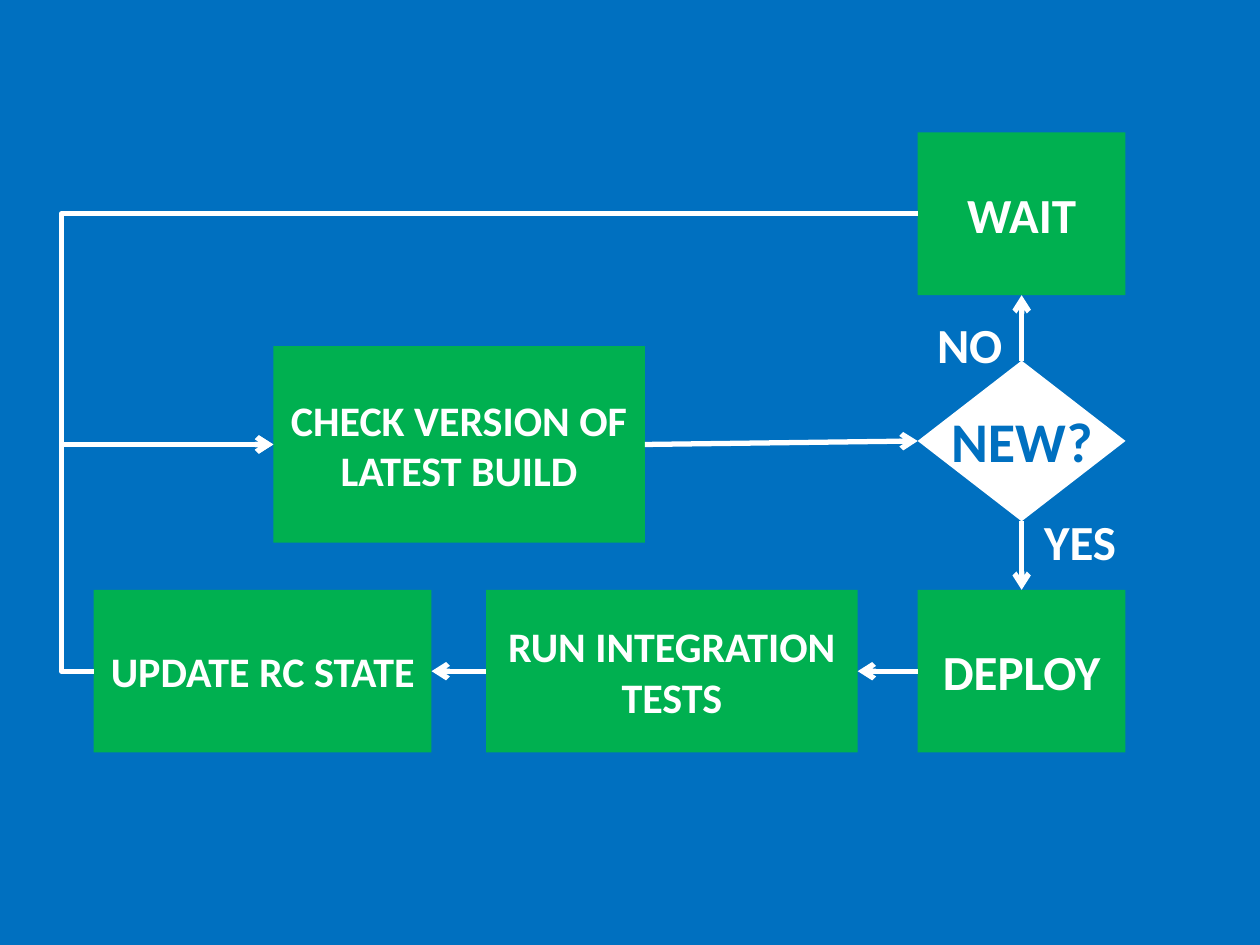
from lxml import etree
from pptx import Presentation
from pptx.dml.color import RGBColor
from pptx.enum.shapes import MSO_CONNECTOR, MSO_SHAPE
from pptx.enum.text import MSO_ANCHOR, MSO_AUTO_SIZE, PP_ALIGN
from pptx.oxml.ns import qn
from pptx.util import Cm, Pt

RECTANGLE, DIAMOND = MSO_SHAPE.RECTANGLE, MSO_SHAPE.DIAMOND
STRAIGHT, ELBOW = MSO_CONNECTOR.STRAIGHT, MSO_CONNECTOR.ELBOW
MIDDLE, TOP_ANCHOR = MSO_ANCHOR.MIDDLE, MSO_ANCHOR.TOP
CENTER, LEFT_ALIGN = PP_ALIGN.CENTER, PP_ALIGN.LEFT
GROW = MSO_AUTO_SIZE.SHAPE_TO_FIT_TEXT
TOP, LEFT, BOTTOM, RIGHT = range(4)

COLORS = {"background": "0070C0", "step": "00B050", "light": "FFFFFF"}
FONT = "Calibri"


def color(name):
    return RGBColor.from_string(COLORS[name])


def write(shape, text, size=28, ink="light", align=CENTER, anchor=MIDDLE, wrap=True):
    frame = shape.text_frame
    frame.word_wrap = wrap
    frame.vertical_anchor = anchor
    paragraph = frame.paragraphs[0]
    paragraph.alignment = align
    run = paragraph.add_run()
    run.text = text
    run.font.name = FONT
    run.font.size = Pt(size)
    run.font.bold = True
    run.font.color.rgb = color(ink)


def add_node(slide, kind, box, fill):
    node = slide.shapes.add_shape(kind, *map(Cm, box))
    node.shadow.inherit = False
    node.fill.solid()
    node.fill.fore_color.rgb = color(fill)
    node.line.fill.background()
    return node


def add_label(slide, text, box, **style):
    label = slide.shapes.add_textbox(*map(Cm, box))
    write(label, text, anchor=TOP_ANCHOR, **style)
    label.text_frame.auto_size = GROW


def add_arrow(slide, source, source_site, target, target_site, kind=STRAIGHT):
    arrow = slide.shapes.add_connector(kind, 0, 0, 0, 0)
    arrow.begin_connect(source, source_site)
    arrow.end_connect(target, target_site)
    arrow.line.color.rgb = color("light")
    arrow.line.width = Pt(3)
    properties = arrow.element.spPr
    etree.SubElement(properties.find(qn("a:ln")), qn("a:tailEnd"), type="arrow")
    etree.SubElement(properties, qn("a:effectLst"))
    return arrow


def add_return(slide, source, target, rail):
    arrow = add_arrow(slide, source, LEFT, target, LEFT, ELBOW)
    bend = (source.left - Cm(rail)) / (source.left - target.left)
    properties = arrow.element.spPr
    frame = properties.find(qn("a:xfrm"))
    for flip in ("flipH", "flipV"):
        frame.set(flip, "0" if frame.get(flip) in ("1", "true") else "1")
    frame.set("rot", "10800000")
    geometry = properties.find(qn("a:prstGeom"))
    adjustments = geometry.find(qn("a:avLst"))
    if adjustments is None:
        adjustments = etree.SubElement(geometry, qn("a:avLst"))
    etree.SubElement(adjustments, qn("a:gd"), name="adj1", fmla=f"val {round(bend * 100000)}")


def add_release_loop(slide, left, top):
    def place(x, y, width, height):
        return left + x, top + y, width, height

    def step(text, size, *box):
        node = add_node(slide, RECTANGLE, place(*box), "step")
        write(node, text, size)
        return node

    decision_x, bottom_row = 17.26, 9.22
    narrow, wide, height = 4.19, 7.49, 3.28
    check = step("CHECK VERSION OF LATEST BUILD", 24, 4.27, 4.31, wide, 3.96)
    decision = add_node(slide, DIAMOND, place(decision_x, 4.6, narrow, 3.24), "light")
    wait = step("WAIT", 28, decision_x, 0, narrow, height)
    deploy = step("DEPLOY", 28, decision_x, bottom_row, narrow, height)
    tests = step("RUN INTEGRATION TESTS", 24, 8.56, bottom_row, wide, height)
    update = step("UPDATE RC STATE", 24, 0.65, bottom_row, 6.81, height)

    add_return(slide, wait, check, left)
    for source, source_site, target, target_site in (
        (check, RIGHT, decision, LEFT),
        (decision, TOP, wait, BOTTOM),
        (decision, BOTTOM, deploy, TOP),
        (deploy, LEFT, tests, RIGHT),
        (tests, LEFT, update, RIGHT),
    ):
        add_arrow(slide, source, source_site, target, target_site)
    add_return(slide, update, check, left)

    add_label(slide, "NEW?", place(17.53, 5.41, 3.66, 1.63), size=32, ink="background")
    add_label(slide, "NO", place(17.4, 3.55, 1.85, 1.45), align=LEFT_ALIGN, wrap=False)
    add_label(slide, "YES", place(19.56, 7.52, 1.98, 1.45), align=LEFT_ALIGN, wrap=False)


def main():
    deck = Presentation()
    deck.slide_width, deck.slide_height = Cm(25.4), Cm(19.05)
    slide = deck.slides.add_slide(deck.slide_layouts[6])
    slide.background.fill.solid()
    slide.background.fill.fore_color.rgb = color("background")
    add_release_loop(slide, left=1.24, top=2.67)
    deck.save("out.pptx")


if __name__ == "__main__":
    main()
